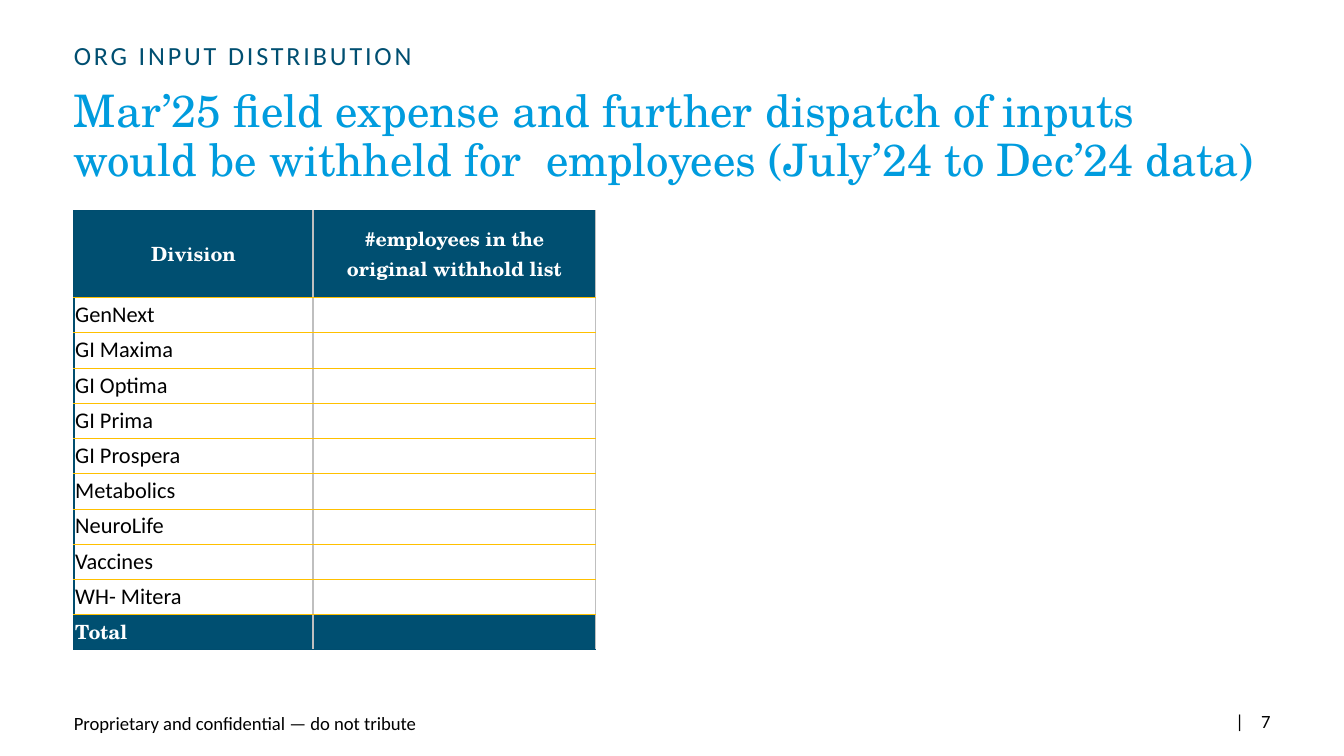
import pptx
import pptx.util
import pptx.dml.color
import pptx.enum.text
import pptx.oxml.ns
import lxml.etree

PX = 2286  # 400 px to the inch
HUE = {"navy": "004F71", "edge": "004D6F", "sky": "009CDE", "gold": "FFC000",
       "gray": "BFBFBF", "black": "000000", "white": "FFFFFF"}
SANS, SERIF = "Calibri", "TeX Gyre Schola"
ALIGN = pptx.enum.text.PP_ALIGN
ANCHOR = pptx.enum.text.MSO_ANCHOR
qn = pptx.oxml.ns.qn


def style(para, face, size, hue, bold=False):
    for run in para.runs:
        run.font.name = face
        run.font.size = pptx.util.Pt(size)
        run.font.bold = bold
        run.font.color.rgb = pptx.dml.color.RGBColor.from_string(HUE[hue])


def label(box, text, face, size, hue, pads, anchor=ANCHOR.TOP):
    shape = slide.shapes.add_textbox(*[n * PX for n in box])
    frame = shape.text_frame
    frame.word_wrap = True
    frame.vertical_anchor = anchor
    frame.margin_left, frame.margin_top, frame.margin_right, frame.margin_bottom = [
        n * PX for n in pads]
    frame.text = text
    para = frame.paragraphs[0]
    style(para, face, size, hue)
    return para


deck = pptx.Presentation()
deck.slide_width, deck.slide_height = 4000 * PX, 2250 * PX
slide = deck.slides.add_slide(deck.slide_layouts[6])

# Heading
over = label((220, 116, 2292, 116), "ORG INPUT DISTRIBUTION",
             SANS, 14, "navy", (0, 0, 40, 20))
over.runs[0].font._element.set("spc", "150")
title = label((220, 265, 3560, 360),
              "Mar’25 field expense and further dispatch of inputs would be "
              "withheld for  employees (July’24 to Dec’24 data)",
              SERIF, 24, "sky", (0, 0, 40, 20))
title.line_spacing = 0.9

# Footer and page number
label((220, 2110, 1336, 96), "Proprietary and confidential — do not tribute",
      SANS, 10, "black", (0, 20, 0, 20), ANCHOR.BOTTOM)
page = label((3572, 2086, 248, 120), "|\t7", SANS, 10, "black",
             (105, 20, 0, 20), ANCHOR.MIDDLE)
tabs = lxml.etree.SubElement(page._p.get_or_add_pPr(), qn("a:tabLst"))
lxml.etree.SubElement(tabs, qn("a:tab"), pos=str(76 * PX), algn="l")

# Table
names = ["GenNext", "GI Maxima", "GI Optima", "GI Prima", "GI Prospera",
         "Metabolics", "NeuroLife", "Vaccines", "WH- Mitera"]
rows = [("Division", "#employees in the original withhold list")]
rows += [(name, "") for name in names] + [("Total", "")]
last = len(rows) - 1
table = slide.shapes.add_table(len(rows), 2, 220 * PX, 627 * PX,
                               1553 * PX, 1308 * PX).table
table.first_row = table.horz_banding = False
for col, width in zip(table.columns, (712, 841)):
    col.width = width * PX

for r, row in enumerate(rows):
    head, strong = r == 0, r in (0, last)
    table.rows[r].height = (258 if head else 105) * PX
    for c, text in enumerate(row):
        cell = table.cell(r, c)
        cell.vertical_anchor = ANCHOR.MIDDLE
        cell.margin_left = cell.margin_right = (28 if head else 4) * PX
        cell.margin_top = cell.margin_bottom = 0
        cell.text_frame.text = text
        para = cell.text_frame.paragraphs[0]
        if head:
            para.alignment = ALIGN.CENTER
        if strong:
            style(para, SERIF, 10.5, "white", True)
        else:
            style(para, SANS, 12, "black")
        if not text:
            lxml.etree.SubElement(para._p, qn("a:endParaRPr"), sz="1050")

        # Cell borders come before the fill
        sides = {"L": ("gray", 1) if c else ("edge", 0.75),
                 "R": ("gray", 1),
                 "T": ("edge", 0.75) if head else ("gold", 0.25),
                 "B": ("edge", 0.75) if r == last else ("gold", 0.25)}
        props = cell._tc.get_or_add_tcPr()
        for side, (hue, width) in sides.items():
            line = lxml.etree.SubElement(props, qn("a:ln" + side),
                                         w=str(int(width * 12700)))
            fill = lxml.etree.SubElement(line, qn("a:solidFill"))
            lxml.etree.SubElement(fill, qn("a:srgbClr"), val=HUE[hue])
        if strong:
            cell.fill.solid()
            cell.fill.fore_color.rgb = pptx.dml.color.RGBColor.from_string(HUE["navy"])
        else:
            cell.fill.background()

deck.save("out.pptx")
